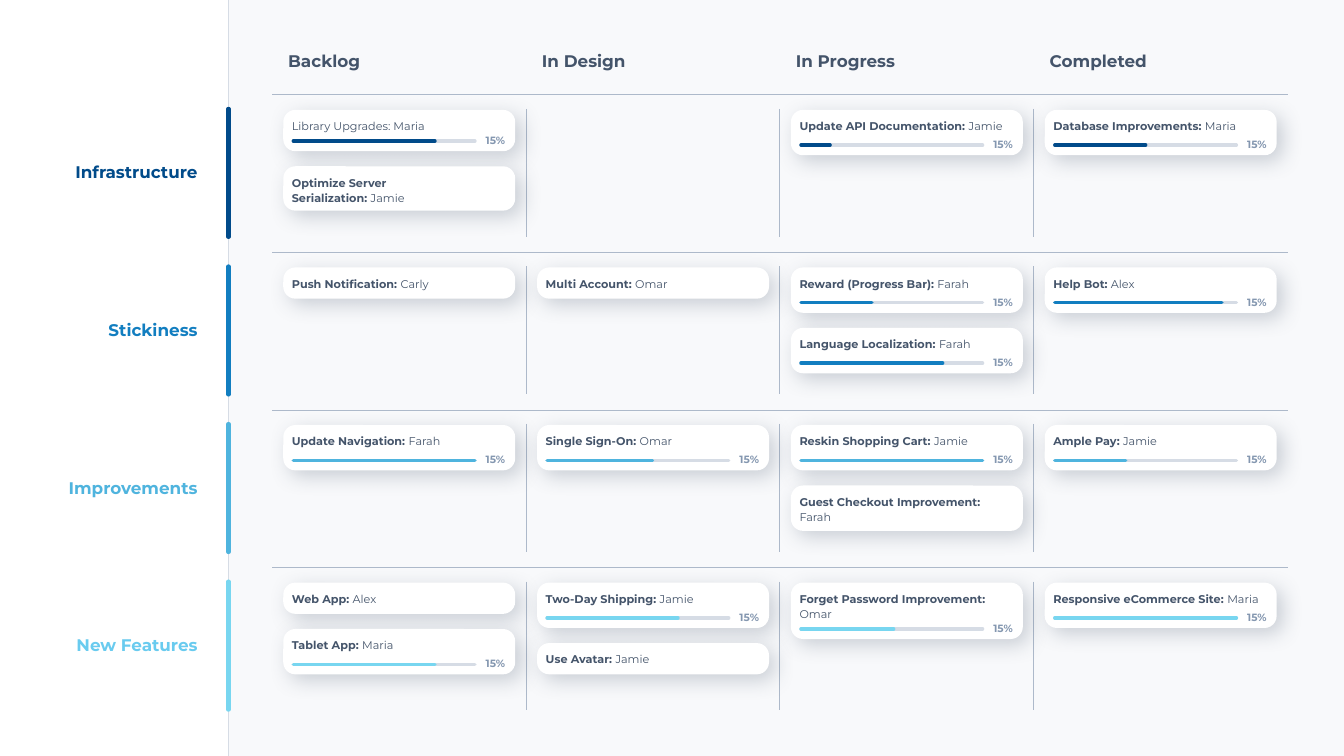
from dataclasses import dataclass
from itertools import groupby

from lxml.etree import SubElement
from pptx import Presentation
from pptx.dml.color import RGBColor
from pptx.enum.shapes import MSO_CONNECTOR, MSO_SHAPE
from pptx.enum.text import MSO_ANCHOR, MSO_AUTO_SIZE, PP_ALIGN
from pptx.oxml.ns import qn
from pptx.util import Inches, Pt


@dataclass(frozen=True)
class Theme:
    font: str = "Montserrat"
    ink: str = "44546A"
    mute: str = "8497B0"
    rule: str = "ADB9CA"
    track: str = "D6DCE5"
    card: str = "FFFFFF"
    head: float = 12
    body: float = 8
    note: float = 7.5
    lead: float = 11
    thin: float = 0.5
    bar: float = 2.5
    bold: float = 3


@dataclass(frozen=True)
class Grid:
    """Board of four columns and four rows, in inches."""
    left: float = 2.7
    top: float = 0.94
    wide: float = 10.07 / 4
    tall: float = 4.69 / 3
    pad: float = 0.11
    gap: float = 0.15

    def x(self, col: float) -> float:
        return self.left + col * self.wide

    def y(self, row: float) -> float:
        return self.top + row * self.tall


@dataclass(frozen=True)
class Stage:
    name: str
    width: float


@dataclass(frozen=True)
class Lane:
    name: str
    width: float
    hue: str
    ink: str


@dataclass(frozen=True)
class Card:
    row: int
    col: int
    task: str
    who: str
    share: float = 0
    tall: float = 0

    @property
    def height(self) -> float:
        return self.tall or (0.45 if self.share else 0.31)


THEME = Theme()
GRID = Grid()
WIDE, HIGH = 13.33, 7.5
SIDE = 0.17 * WIDE
CARD_W, TRACK_W, TRACK_X = 2.3, 1.8, 0.1
ROUND = 0.12

STAGES = [Stage("Backlog", 0.92), Stage("In Design", 1.04),
          Stage("In Progress", 1.2), Stage("Completed", 1.18)]
LANES = [Lane("Infrastructure", 1.43, "014B8A", "014B8A"),
         Lane("Stickiness", 1.1, "127EC0", "127EC0"),
         Lane("Improvements", 1.5, "4FB4DE", "4FB4DE"),
         Lane("New Features", 1.43, "78D6F0", "69CBEF")]

# Cards of one cell stack downwards in the order given
CARDS = [
    Card(0, 0, "", "Library Upgrades: Maria", 0.78, 0.41),
    Card(0, 0, "Optimize Server\nSerialization: ", "Jamie", 0, 0.44),
    Card(0, 2, "Update API Documentation: ", "Jamie", 0.16),
    Card(0, 3, "Database Improvements: ", "Maria", 0.5),
    Card(1, 0, "Push Notification: ", "Carly"),
    Card(1, 1, "Multi Account: ", "Omar"),
    Card(1, 2, "Reward (Progress Bar): ", "Farah", 0.39),
    Card(1, 2, "Language Localization: ", "Farah", 0.78),
    Card(1, 3, "Help Bot: ", "Alex", 0.92),
    Card(2, 0, "Update Navigation: ", "Farah", 1),
    Card(2, 1, "Single Sign-On: ", "Omar", 0.58),
    Card(2, 2, "Reskin Shopping Cart: ", "Jamie", 1),
    Card(2, 2, "Guest Checkout Improvement:\n", "Farah", 0, 0.45),
    Card(2, 3, "Ample Pay: ", "Jamie", 0.39),
    Card(3, 0, "Web App: ", "Alex"),
    Card(3, 0, "Tablet App: ", "Maria", 0.78),
    Card(3, 1, "Two-Day Shipping: ", "Jamie", 0.72),
    Card(3, 1, "Use Avatar: ", "Jamie"),
    Card(3, 2, "Forget Password Improvement: ", "Omar", 0.51, 0.56),
    Card(3, 3, "Responsive eCommerce Site: ", "Maria", 1),
]


def line(pen, x: float, y: float, w: float, h: float, hue: str,
         size: float, cap: bool = False) -> None:
    rod = pen.add_connector(MSO_CONNECTOR.STRAIGHT, Inches(x), Inches(y),
                            Inches(x + w), Inches(y + h))
    rod.line.color.rgb = RGBColor.from_string(hue)
    rod.line.width = Pt(size)
    props = rod._element.spPr
    if cap:
        props.find(qn("a:ln")).set("cap", "rnd")
    SubElement(props, qn("a:effectLst"))


def block(pen, kind: MSO_SHAPE, x: float, y: float, w: float, h: float, hue: str):
    form = pen.add_shape(kind, Inches(x), Inches(y), Inches(w), Inches(h))
    form.shadow.inherit = False
    form.fill.solid()
    form.fill.fore_color.rgb = RGBColor.from_string(hue)
    form.line.fill.background()
    return form


def style(para, size: float, hue: str) -> None:
    para.font.name = THEME.font
    para.font.size = Pt(size)
    para.font.color.rgb = RGBColor.from_string(hue)


def label(pen, text: str, x: float, y: float, w: float, h: float,
          size: float, hue: str, side: PP_ALIGN) -> None:
    frame = pen.add_textbox(Inches(x), Inches(y), Inches(w), Inches(h)).text_frame
    frame.word_wrap = False
    frame.auto_size = MSO_AUTO_SIZE.SHAPE_TO_FIT_TEXT
    para = frame.paragraphs[0]
    para.text = text
    para.alignment = side
    style(para, size, hue)
    para.font.bold = True


def shade(form) -> None:
    glow = SubElement(form._element.spPr.find(qn("a:effectLst")), qn("a:outerShdw"),
                      blurRad=str(Pt(15)), dist=str(Pt(6)), dir=str(45 * 60000),
                      algn="tl", rotWithShape="0")
    tint = SubElement(glow, qn("a:srgbClr"), val=THEME.ink)
    SubElement(tint, qn("a:alpha"), val="25000")


def meter(pen, x: float, y: float, share: float, hue: str) -> None:
    line(pen, x, y, TRACK_W, 0, THEME.track, THEME.bar, True)
    line(pen, x, y, TRACK_W * share, 0, hue, THEME.bar, True)
    label(pen, "15%", x + TRACK_W, y - 0.12, 0.4, 0.23,
          THEME.note, THEME.mute, PP_ALIGN.RIGHT)


def draw(pen, card: Card, x: float, y: float) -> None:
    form = block(pen, MSO_SHAPE.ROUNDED_RECTANGLE, x, y, CARD_W, card.height, THEME.card)
    form.adjustments[0] = ROUND / card.height
    shade(form)
    frame = form.text_frame
    frame.word_wrap = True
    frame.vertical_anchor = MSO_ANCHOR.TOP
    frame.margin_left, frame.margin_top = Inches(0.05), Inches(0.04)
    frame.margin_right = frame.margin_bottom = 0
    rows = card.task.split("\n")
    for i, text in enumerate(rows):
        para = frame.add_paragraph() if i else frame.paragraphs[0]
        para.alignment = PP_ALIGN.LEFT
        para.line_spacing = Pt(THEME.lead)
        style(para, THEME.body, THEME.ink)
        parts = [(text, True), (card.who if i == len(rows) - 1 else "", False)]
        for word, bold in parts:
            if word:
                run = para.add_run()
                run.text, run.font.bold = word, bold
    if card.share:
        meter(pen.add_group_shape().shapes, x + TRACK_X, y + card.height - 0.1,
              card.share, LANES[card.row].hue)


def main() -> None:
    deck = Presentation()
    deck.slide_width, deck.slide_height = Inches(WIDE), Inches(HIGH)
    pen = deck.slides.add_slide(deck.slide_layouts[6]).shapes

    # Board ground and its edge
    ground = block(pen, MSO_SHAPE.RECTANGLE, SIDE, 0, WIDE - SIDE, HIGH, THEME.track)
    tint = ground._element.spPr.find(qn("a:solidFill"))[0]
    SubElement(tint, qn("a:alpha"), val="15000")
    line(pen, SIDE, 0, 0, HIGH, THEME.track, THEME.thin)

    # Column heads
    for col, stage in enumerate(STAGES):
        label(pen, stage.name, GRID.x(col) + 0.06, 0.45, stage.width, 0.3,
              THEME.head, THEME.ink, PP_ALIGN.LEFT)

    # Lanes with rules, accents and dividers
    for row, lane in enumerate(LANES):
        top, tall = GRID.y(row) + 0.14, 1.27
        line(pen, GRID.left, GRID.y(row), GRID.wide * len(STAGES), 0, THEME.rule, THEME.thin)
        line(pen, SIDE, top, 0, tall, lane.hue, THEME.bold, True)
        label(pen, lane.name, 2.06 - lane.width, GRID.y(row) + 0.62, lane.width, 0.3,
              THEME.head, lane.ink, PP_ALIGN.RIGHT)
        fence = pen.add_group_shape().shapes
        for col in range(1, len(STAGES)):
            line(fence, GRID.x(col), top, 0, tall, THEME.rule, THEME.thin)

    # Cards, cell by cell
    for (row, col), pile in groupby(CARDS, key=lambda card: (card.row, card.col)):
        y = GRID.y(row) + GRID.gap
        for card in pile:
            draw(pen, card, GRID.x(col) + GRID.pad, y)
            y += card.height + GRID.gap

    deck.save("out.pptx")


if __name__ == "__main__":
    main()
